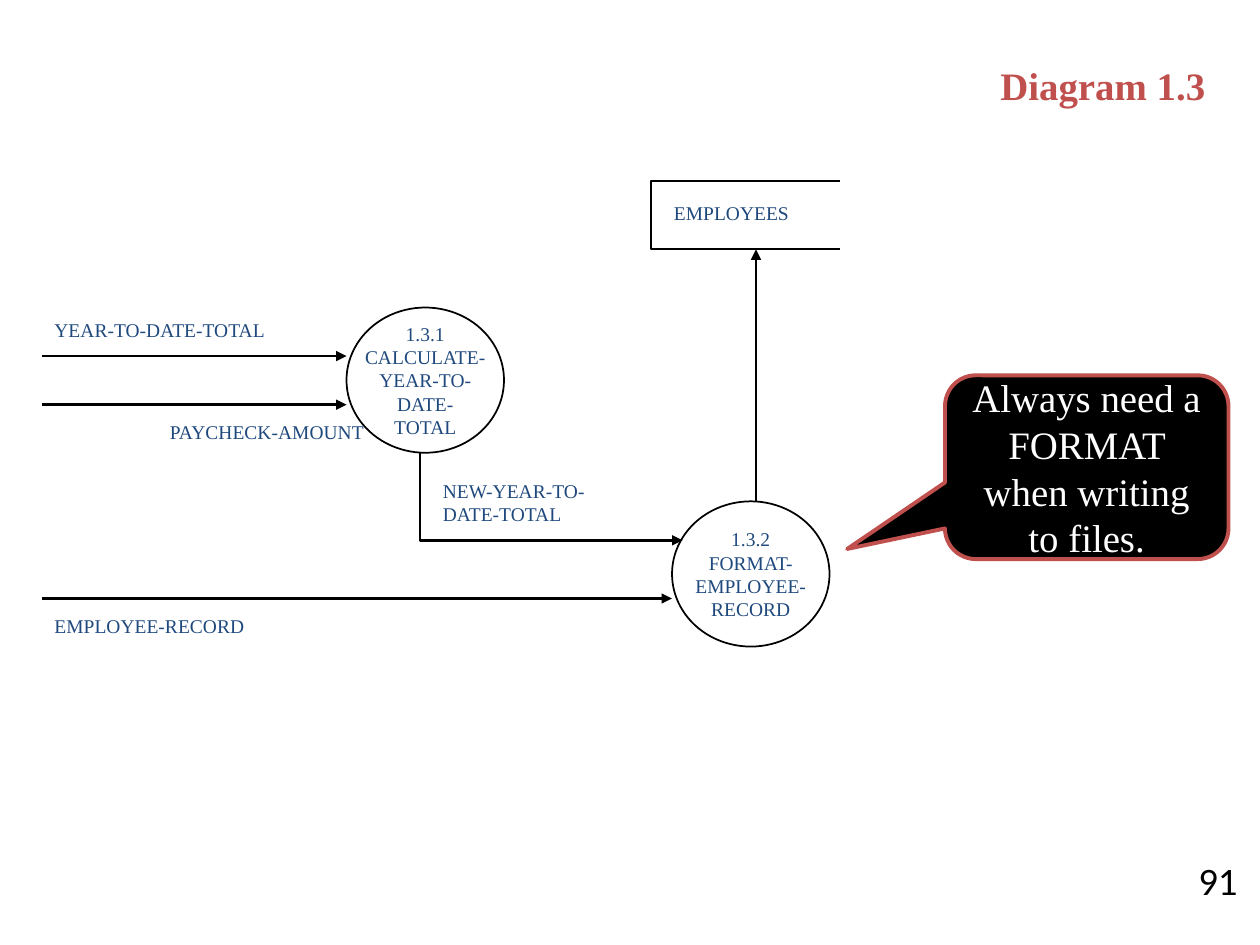
from lxml import etree
from pptx import Presentation
from pptx import util as u
from pptx.dml.color import RGBColor
from pptx.enum import shapes, text
from pptx.oxml.ns import qn

Pt = u.Pt
COLORS = {"ink": "000000", "label": "1F497D", "accent": "C0504D", "paper": "FFFFFF"}
LEFT, CENTER, RIGHT = text.PP_ALIGN.LEFT, text.PP_ALIGN.CENTER, text.PP_ALIGN.RIGHT
TOP, MIDDLE = text.MSO_ANCHOR.TOP, text.MSO_ANCHOR.MIDDLE
SERIF = "Times New Roman"


def write(shape, lines, size=11.1, color="label", align=LEFT, anchor=TOP, wrap=True, name=SERIF, bold=False):
    frame = shape.text_frame
    frame_format = {"word_wrap": wrap, "vertical_anchor": anchor, "auto_size": text.MSO_AUTO_SIZE.NONE,
                    "margin_left": Pt(7.2), "margin_right": Pt(7.2),
                    "margin_top": Pt(3.6), "margin_bottom": Pt(3.6)}
    for key, value in frame_format.items():
        setattr(frame, key, value)
    frame.text = "\n".join(lines)
    for paragraph in frame.paragraphs:
        paragraph.alignment = align
        for key, value in {"name": name, "size": Pt(size), "bold": bold}.items():
            setattr(paragraph.font, key, value)
        paragraph.font.color.rgb = RGBColor.from_string(COLORS[color])


def outline(shape, width, color="ink", arrow=False):
    shape.line.color.rgb = RGBColor.from_string(COLORS[color])
    shape.line.width = Pt(width)
    if arrow:
        etree.SubElement(shape.line._get_or_add_ln(), qn("a:tailEnd"), type="triangle")


presentation = Presentation()
presentation.slide_width, presentation.slide_height = Pt(720), Pt(540)
slide = presentation.slides.add_slide(presentation.slide_layouts[5])

title = slide.shapes.title
for key, value in {"left": 510, "top": 31.5, "width": 186, "height": 34}.items():
    setattr(title, key, Pt(value))
write(title, ["Diagram 1.3"], size=22.2, color="accent", align=RIGHT, bold=True)

open_paths = [
    ([(480, 103.5), (372, 103.5), (372, 142.5), (480, 142.5)], 1, False),
    ([(240, 259), (240, 308.75), (390, 308.75)], 1.5, True),
]
for points, width, arrow in open_paths:
    corners = [(Pt(x), Pt(y)) for x, y in points]
    builder = slide.shapes.build_freeform(*corners[0])
    builder.add_line_segments(corners[1:], close=False)
    shape = builder.convert_to_shape()
    shape.shadow.inherit = False
    shape.fill.background()
    outline(shape, width, arrow=arrow)

processes = [
    (198, 175.75, ["1.3.1", "CALCULATE-", "YEAR-TO-", "DATE-", "TOTAL"]),
    (384, 286.5, ["1.3.2", "FORMAT-", "EMPLOYEE-", "RECORD"]),
]
for left, top, lines in processes:
    process = slide.shapes.add_shape(shapes.MSO_SHAPE.OVAL, Pt(left), Pt(top), Pt(90), Pt(83))
    process.shadow.inherit = False
    process.fill.background()
    outline(process, 1)
    write(process, lines, align=CENTER, anchor=MIDDLE, wrap=False)

flows = [
    (24, 203.5, 198, 203.5),
    (24, 231.25, 198, 231.25),
    (24, 342, 384, 342),
    (432, 286.5, 432, 142.5),
]
for ends in flows:
    flow = slide.shapes.add_connector(shapes.MSO_CONNECTOR.STRAIGHT, *map(Pt, ends))
    outline(flow, 1.5, arrow=True)
    etree.SubElement(flow._element.spPr, qn("a:effectLst"))

labels = [
    ("EMPLOYEES", 378, 111.5, 96, 21),
    ("YEAR-TO-DATE-TOTAL", 24, 178, 168, 21),
    ("PAYCHECK-AMOUNT", 90, 236.75, 126, 34),
    ("NEW-YEAR-TO-DATE-TOTAL", 246, 270, 114, 34),
    ("EMPLOYEE-RECORD", 24, 347.5, 192, 21),
]
for label, *box in labels:
    write(slide.shapes.add_textbox(*map(Pt, box)), [label])

callout = slide.shapes.add_shape(
    shapes.MSO_SHAPE.ROUNDED_RECTANGULAR_CALLOUT, Pt(540), Pt(214.5), Pt(162), Pt(105))
for index, value in enumerate([-0.845, 0.445, 0.167]):
    callout.adjustments[index] = value
callout.shadow.inherit = False
callout.fill.solid()
callout.fill.fore_color.rgb = RGBColor.from_string(COLORS["ink"])
outline(callout, 2.25, "accent")
write(callout, ["Always need a FORMAT when writing to files."], size=22.2, color="paper",
      align=CENTER, anchor=MIDDLE)

page_number = slide.shapes.add_textbox(Pt(672), Pt(486), Pt(48), Pt(34))
write(page_number, ["91"], size=22.2, color="ink", align=CENTER, name="Calibri")

presentation.save("out.pptx")
